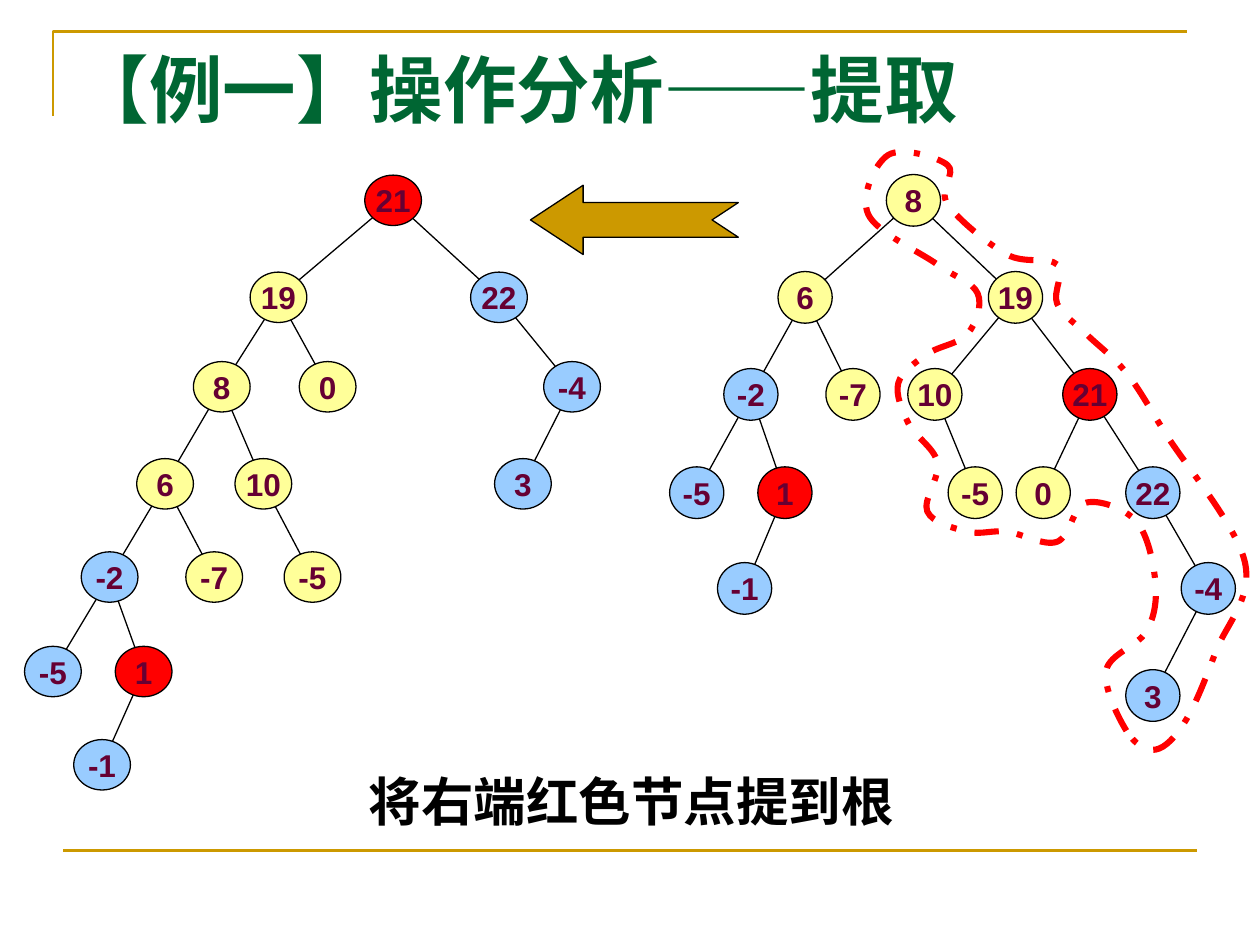
from pptx import Presentation
from pptx.dml.color import RGBColor
from pptx.enum.dml import MSO_LINE
from pptx.enum.shapes import MSO_CONNECTOR, MSO_SHAPE
from pptx.enum.text import MSO_ANCHOR, MSO_AUTO_SIZE, PP_ALIGN
from pptx.oxml.ns import qn
from pptx.util import Inches, Pt
from lxml import etree

STRAIGHT = MSO_CONNECTOR.STRAIGHT
ELLIPSE = MSO_SHAPE.OVAL
NOTCHED_ARROW = MSO_SHAPE.NOTCHED_RIGHT_ARROW
DASH_DOT = MSO_LINE.DASH_DOT
TOP, MIDDLE = MSO_ANCHOR.TOP, MSO_ANCHOR.MIDDLE
LEFT, CENTER = PP_ALIGN.LEFT, PP_ALIGN.CENTER
NO_FIT = MSO_AUTO_SIZE.NONE

COLOURS = {
    "gold": "CC9900", "red": "FF0000", "blue": "99CCFF", "yellow": "FFFF99",
    "black": "000000", "label": "660033", "title": "006633",
}

# Each node: label, colour, centre x, row, index of its parent.
RESULT_ROWS = [1.59, 2.36, 3.07, 3.84, 4.58, 5.33, 6.07]
RESULT_TREE = [
    ("21", "red", 3.12, 0, None),
    ("19", "yellow", 2.21, 1, 0),
    ("22", "blue", 3.96, 1, 0),
    ("8", "yellow", 1.76, 2, 1),
    ("0", "yellow", 2.6, 2, 1),
    ("-4", "blue", 4.54, 2, 2),
    ("6", "yellow", 1.31, 3, 3),
    ("10", "yellow", 2.09, 3, 3),
    ("3", "blue", 4.15, 3, 5),
    ("-2", "blue", 0.87, 4, 6),
    ("-7", "yellow", 1.7, 4, 6),
    ("-5", "yellow", 2.48, 4, 7),
    ("-5", "blue", 0.42, 5, 9),
    ("1", "red", 1.14, 5, 9),
    ("-1", "blue", 0.81, 6, 13),
]
START_ROWS = [1.59, 2.36, 3.13, 3.91, 4.67, 5.52]
START_TREE = [
    ("8", "yellow", 7.25, 0, None),
    ("6", "yellow", 6.39, 1, 0),
    ("19", "yellow", 8.06, 1, 0),
    ("-2", "blue", 5.96, 2, 1),
    ("-7", "yellow", 6.77, 2, 1),
    ("10", "yellow", 7.42, 2, 2),
    ("21", "red", 8.65, 2, 2),
    ("-5", "blue", 5.53, 3, 3),
    ("1", "red", 6.23, 3, 3),
    ("-5", "yellow", 7.74, 3, 5),
    ("0", "yellow", 8.28, 3, 6),
    ("22", "blue", 9.15, 3, 6),
    ("-1", "blue", 5.91, 4, 8),
    ("-4", "blue", 9.59, 4, 11),
    ("3", "blue", 9.15, 5, 13),
]
LOOP_KNOTS = [
    (8.94, 5.8), (8.78, 5.32), (9.1, 5.01), (9.17, 4.62), (9.02, 4.14),
    (8.62, 3.99), (8.39, 4.3), (7.99, 4.22), (7.68, 4.22), (7.36, 4.06),
    (7.44, 3.67), (7.21, 3.36), (7.13, 3.04), (7.36, 2.81), (7.68, 2.65),
    (7.76, 2.33), (7.44, 2.1), (6.89, 1.7), (7.05, 1.23), (7.52, 1.31),
    (7.52, 1.62), (7.99, 2.02), (8.39, 2.1), (8.39, 2.41), (8.62, 2.65),
    (8.94, 2.96), (9.25, 3.44), (9.88, 4.46), (9.65, 5.17), (9.41, 5.72),
    (9.17, 5.95),
]


def colour(name):
    """Return the named colour."""
    return RGBColor.from_string(COLOURS[name])


def style_line(item, name, width):
    """Set the colour and width of an outline."""
    item.line.color.rgb = colour(name)
    item.line.width = Pt(width)


def add_line(page, start, end, name="black", width=0.75):
    """Draw a straight line without a shadow."""
    line = page.shapes.add_connector(STRAIGHT, *map(Inches, start + end))
    style_line(line, name, width)
    etree.SubElement(line._element.spPr, qn("a:effectLst"))


def add_outline(page, points, name, width, closed=False):
    """Draw an unfilled outline through the points."""
    corners = [tuple(map(Inches, point)) for point in points]
    builder = page.shapes.build_freeform(*corners[0], scale=1.0)
    builder.add_line_segments(corners[1:], close=closed)
    outline = builder.convert_to_shape()
    outline.shadow.inherit = False
    outline.fill.background()
    style_line(outline, name, width)
    return outline


def add_smooth_loop(page, knots):
    """Draw a closed dashed curve whose tangents follow the neighbouring knots."""
    points = [knots[0]]
    for i, (x, y) in enumerate(knots):
        before = knots[i - 1]
        end, after = (knots[(i + step) % len(knots)] for step in (1, 2))
        points += [
            (x + (end[0] - before[0]) / 6, y + (end[1] - before[1]) / 6),
            (end[0] - (after[0] - x) / 6, end[1] - (after[1] - y) / 6),
            end,
        ]
    loop = add_outline(page, points, "red", 3.5, closed=True)
    loop.line.dash_style = DASH_DOT
    segments = list(loop._element.iter(qn("a:lnTo")))
    for i in range(0, len(segments), 3):
        curve = etree.Element(qn("a:cubicBezTo"))
        segments[i].addprevious(curve)
        for segment in segments[i:i + 3]:
            curve.append(segment[0])
            segment.getparent().remove(segment)


def add_node(page, label, fill, x, y, width, height):
    """Draw one labelled tree node around its centre."""
    box = (x - width / 2, y - height / 2, width, height)
    node = page.shapes.add_shape(ELLIPSE, *map(Inches, box))
    node.shadow.inherit = False
    node.fill.solid()
    node.fill.fore_color.rgb = colour(fill)
    style_line(node, "black", 0.75)
    node.text_frame.word_wrap = False
    write(node, label, "Arial", 18, "label", CENTER, MIDDLE)


def add_tree(page, nodes, rows, width, height):
    """Draw the edges of a tree, then its nodes."""
    centres = [(x, rows[row]) for _, _, x, row, _ in nodes]
    for centre, (*_, parent) in zip(centres, nodes):
        if parent is not None:
            add_line(page, centres[parent], centre)
    for centre, (label, fill, *_) in zip(centres, nodes):
        add_node(page, label, fill, *centre, width, height)


def add_arrow(page):
    """Draw the arrow that points from the starting tree to the result."""
    arrow = page.shapes.add_shape(NOTCHED_ARROW, *map(Inches, (4.21, 1.47, 1.65, 0.55)))
    arrow.rotation = 180
    arrow.adjustments[0] = 0.5
    arrow.adjustments[1] = 0.76
    arrow.shadow.inherit = False
    arrow.fill.solid()
    arrow.fill.fore_color.rgb = colour("gold")
    style_line(arrow, "black", 0.75)


def write(box, text, font, size, name, align, anchor):
    """Put one bold paragraph into a shape and return it."""
    frame = box.text_frame
    frame.text = text
    frame.vertical_anchor = anchor
    para = frame.paragraphs[0]
    para.alignment = align
    para.font.name = font
    para.font.size = Pt(size)
    para.font.bold = True
    para.font.color.rgb = colour(name)
    return para


def fill_placeholder(box, area, *text_style):
    """Move a placeholder and write its text."""
    box.left, box.top, box.width, box.height = map(Inches, area)
    box.text_frame.auto_size = NO_FIT
    return write(box, *text_style)


def main():
    """Build the slide and save it."""
    deck = Presentation()
    deck.slide_width, deck.slide_height = Inches(10), Inches(7.5)
    page = deck.slides.add_slide(deck.slide_layouts[1])
    title, body = page.placeholders

    add_outline(page, [(0.42, 0.92), (0.42, 0.25), (9.42, 0.25)], "gold", 1.5)
    add_line(page, (0.5, 6.75), (9.5, 6.75), "gold", 1.5)
    add_tree(page, START_TREE, START_ROWS, 0.43, 0.41)
    add_smooth_loop(page, LOOP_KNOTS)
    add_arrow(page)
    add_tree(page, RESULT_TREE, RESULT_ROWS, 0.45, 0.4)

    fill_placeholder(title, (0.5, 0.3, 9, 1.25), "【例一】操作分析——提取",
                     "Times New Roman", 42, "title", LEFT, TOP)
    caption = fill_placeholder(body, (0.51, 6.11, 9, 0.59), "将右端红色节点提到根",
                               "Arial", 30, "black", CENTER, TOP)
    caption.line_spacing = 0.9
    caption.space_before = Pt(7.5)
    properties = caption._p.get_or_add_pPr()
    properties.set("marL", "0")
    properties.set("indent", "0")
    bullet = etree.Element(qn("a:buNone"))
    properties.find(qn("a:spcBef")).addnext(bullet)

    deck.save("out.pptx")


if __name__ == "__main__":
    main()
